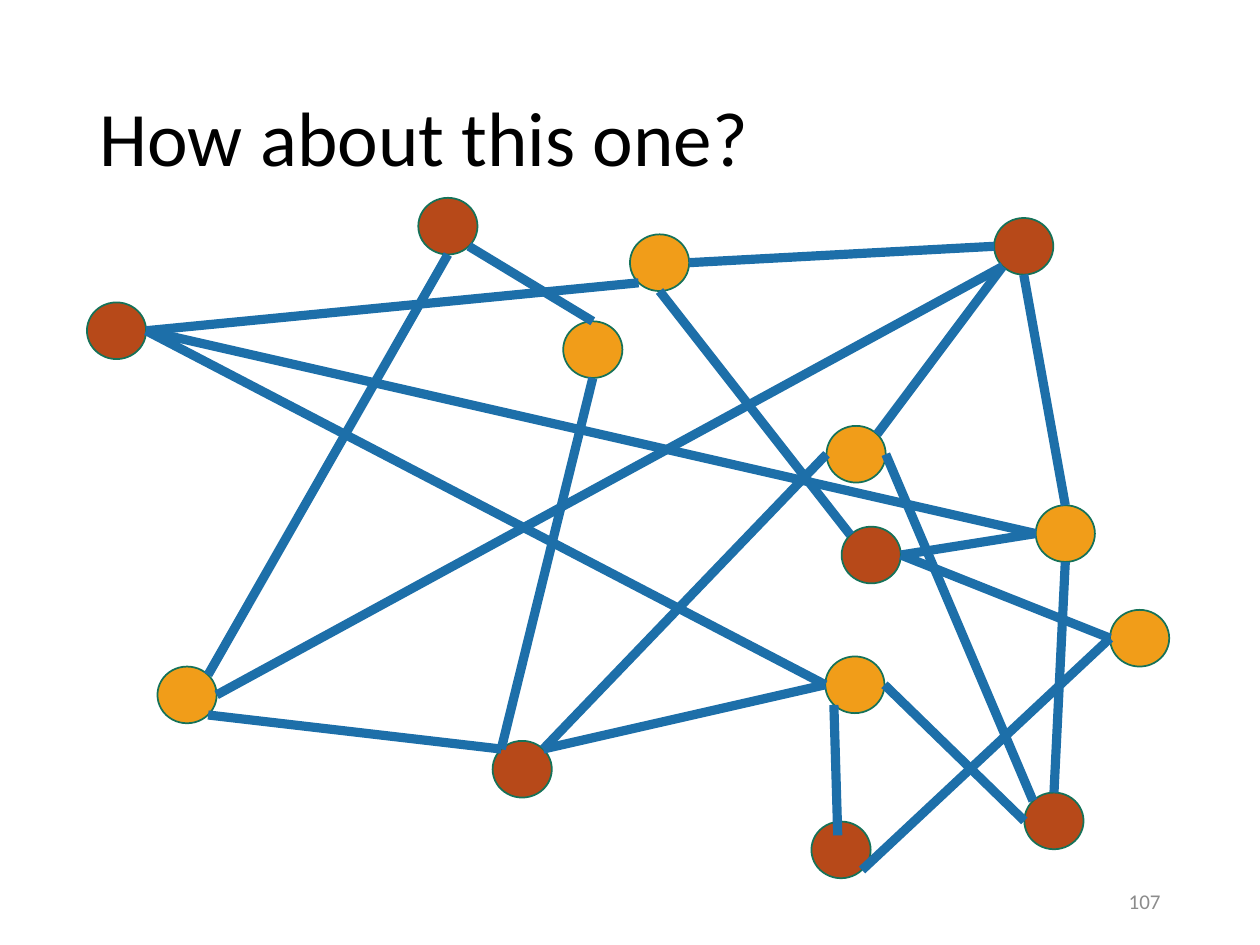
from pptx import Presentation
from pptx.dml.color import RGBColor
from pptx.enum import shapes, text
from pptx.oxml.ns import qn
from pptx.util import Inches, Pt
from lxml import etree


def tint(code):
    return RGBColor.from_string(code)


def write(frame, words, size, code, align):
    frame.word_wrap = True
    frame.vertical_anchor = text.MSO_ANCHOR.MIDDLE
    para = frame.paragraphs[0]
    para.alignment = align
    run = para.add_run()
    run.text = words
    run.font.name = "Calibri"
    run.font.size = Pt(size)
    run.font.color.rgb = tint(code)
    return para


deck = Presentation()
deck.slide_width, deck.slide_height = Inches(10), Inches(7.5)
slide = deck.slides.add_slide(deck.slide_layouts[5])

title = slide.shapes.title
title.left, title.top = Inches(0.69), Inches(0.4)
title.width, title.height = Inches(8.62), Inches(1.45)
para = write(title.text_frame, "How about this one?", 44, "000000", text.PP_ALIGN.LEFT)
para.line_spacing = 0.9

wide, high = 0.47, 0.45
red, gold = "B74919", "F19D19"
nodes = {
    "A": (6.44, 6.52, red), "B": (3.32, 1.57, red), "C": (0.69, 2.4, red),
    "D": (8.13, 6.29, red), "E": (6.68, 4.18, red), "F": (7.89, 1.73, red),
    "G": (3.91, 5.88, red),
    "H": (5, 1.86, gold), "I": (4.47, 2.55, gold), "J": (6.56, 3.38, gold),
    "K": (8.22, 4.01, gold), "L": (1.25, 5.29, gold), "M": (6.55, 5.21, gold),
    "N": (8.81, 4.84, gold),
}
for left, top, code in nodes.values():
    dot = slide.shapes.add_shape(shapes.MSO_SHAPE.OVAL, Inches(left), Inches(top),
                                 Inches(wide), Inches(high))
    dot.shadow.inherit = False
    dot.fill.solid()
    dot.fill.fore_color.rgb = tint(code)
    dot.line.color.rgb = tint("157259")
    dot.line.width = Pt(1)

diag = 0.71
sites = {
    "n": (0, -1), "s": (0, 1), "w": (-1, 0), "e": (1, 0),
    "nw": (-diag, -diag), "ne": (diag, -diag),
    "sw": (-diag, diag), "se": (diag, diag),
    "in": (-0.11, -0.51),
}
edges = [
    "K w C e", "M w C e", "K w E e", "N w E e", "N w A se", "J w G ne",
    "L e F sw", "D n K s", "D w M e", "H e F w", "M w G ne", "M sw A in",
    "K n F s", "H s E nw", "B se I n", "C e H sw", "B s L ne", "J ne F sw",
    "G nw I s", "D nw J e", "G nw L se",
]
for edge in edges:
    start, out, end, into = edge.split()
    ends = []
    for name, site in ((start, out), (end, into)):
        left, top, code = nodes[name]
        across, down = sites[site]
        ends += [Inches(left + wide / 2 * (1 + across)),
                 Inches(top + high / 2 * (1 + down))]
    line = slide.shapes.add_connector(shapes.MSO_CONNECTOR.STRAIGHT, *ends)
    line.line.color.rgb = tint("1D6FA9")
    line.line.width = Pt(5.25)
    etree.SubElement(line._element.spPr, qn("a:effectLst"))

page = slide.shapes.add_textbox(Inches(7.06), Inches(6.95), Inches(2.25), Inches(0.4))
write(page.text_frame, "107", 12, "8C8C8C", text.PP_ALIGN.RIGHT)

deck.save("out.pptx")
